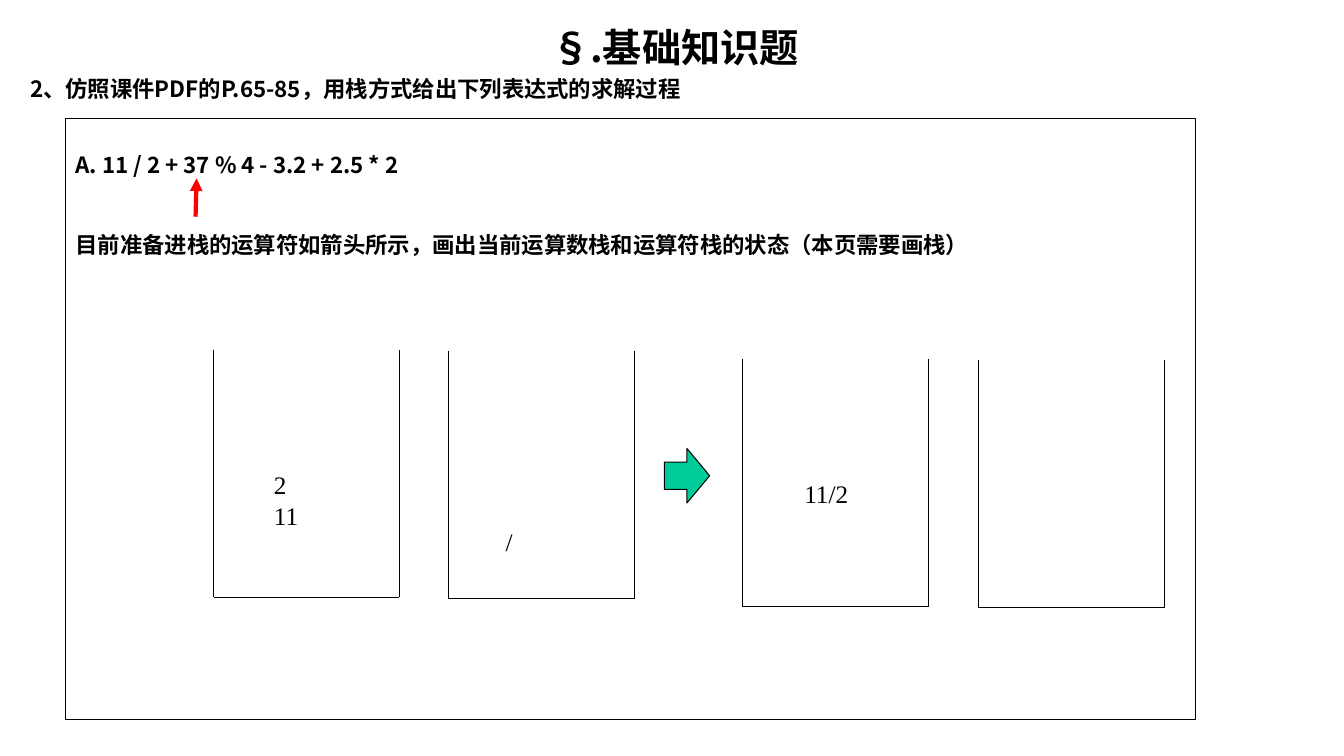
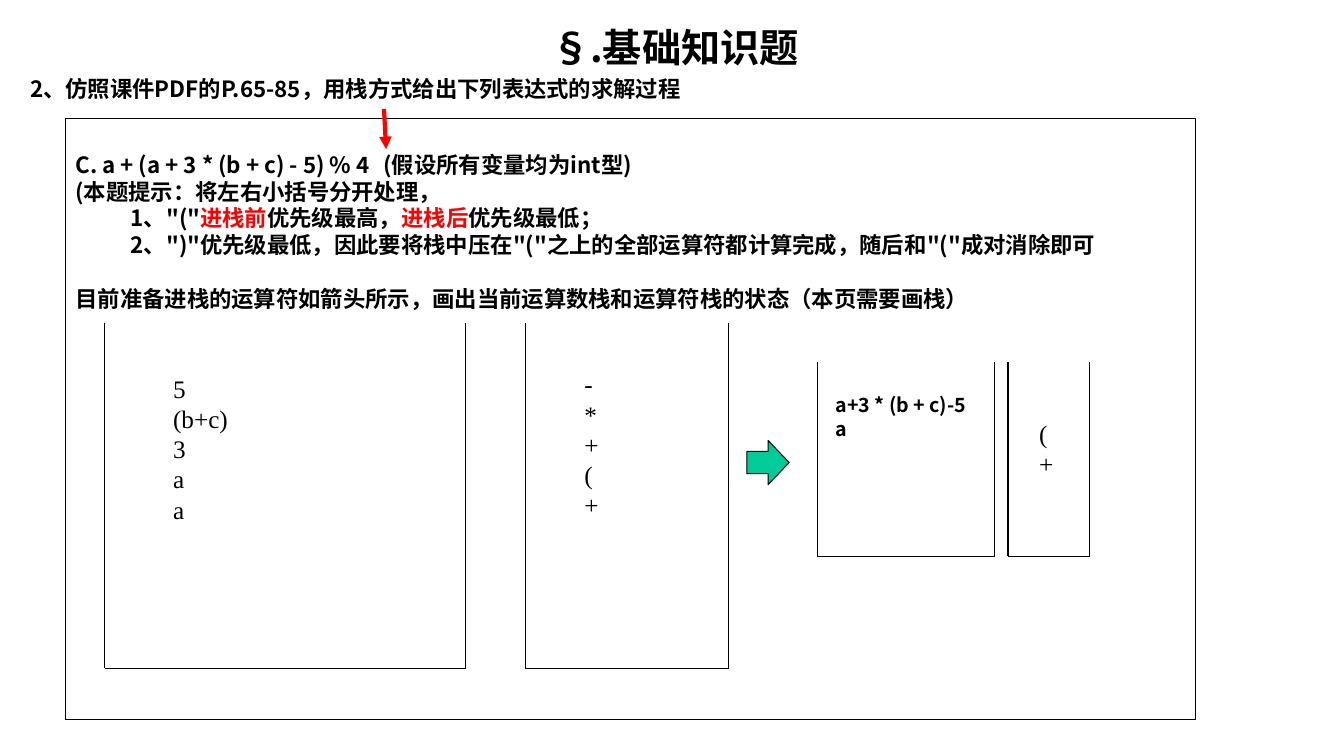
import pptx
import pptx.util
import pptx.dml.color
import pptx.enum.shapes
import pptx.enum.text
import pptx.oxml
import pptx.oxml.ns

Pt = pptx.util.Pt
qn = pptx.oxml.ns.qn
SHAPE = pptx.enum.shapes.MSO_SHAPE
ALIGN = pptx.enum.text.PP_ALIGN
ANCHOR = pptx.enum.text.MSO_ANCHOR

SANS, SERIF = "Noto Sans CJK SC", "Times New Roman"
BLACK, RED, GREEN = "000000", "FF0000", "00CC99"
LEAD = 1.2
ROW = 16 * LEAD
TASK = "目前准备进栈的运算符如箭头所示，画出当前运算数栈和运算符栈的状态（本页需要画栈）"


def color(code):
    return pptx.dml.color.RGBColor.from_string(code)


def sub(parent, tag, **attrs):
    """Append an empty XML child with the given attributes."""
    child = pptx.oxml.parse_xml(f"<{tag} {pptx.oxml.ns.nsdecls('a')}/>")
    for key, value in attrs.items():
        child.set(key, str(value))
    parent.append(child)
    return child


def write(frame, rows, size, face=SANS, bold=True):
    """Fill a frame; a row is a text or a list of (text, colour) runs."""
    for index, row in enumerate(rows):
        para = frame.paragraphs[0] if index == 0 else frame.add_paragraph()
        para.alignment = ALIGN.LEFT
        para.line_spacing = Pt(size * LEAD)
        for text, code in [(row, BLACK)] if isinstance(row, str) else row:
            run = para.add_run()
            run.text = text
            font = run.font
            font.size, font.bold, font.name = Pt(size), bold, face
            font.color.rgb = color(code)
            sub(run._r.get_or_add_rPr(), "a:ea", typeface=face)


def label(slide, x, y, w, rows, size=18, face=SERIF, bold=False):
    box = slide.shapes.add_textbox(Pt(x), Pt(y), Pt(w), Pt(len(rows) * size * LEAD + 7.2))
    box.text_frame.word_wrap = True
    write(box.text_frame, rows, size, face, bold)
    return box.text_frame


def line(slide, start, end, code=BLACK, width=0.75, head=False):
    link = slide.shapes.add_connector(
        pptx.enum.shapes.MSO_CONNECTOR.STRAIGHT, *map(Pt, start + end))
    link.line.color.rgb = color(code)
    link.line.width = Pt(width)
    props = link._element.spPr
    if head:
        sub(props.find(qn("a:ln")), "a:tailEnd", type="triangle")
    sub(props, "a:effectLst")


def stack(slide, x, y, w, h):
    """Draw a container that is open at the top."""
    points = [(x, y), (x, y + h), (x + w, y + h), (x + w, y)]
    for start, end in zip(points, points[1:]):
        line(slide, start, end)


def shape(slide, kind, x, y, w, h, fill=None):
    item = slide.shapes.add_shape(kind, Pt(x), Pt(y), Pt(w), Pt(h))
    item.shadow.inherit = False
    item.line.color.rgb = color(BLACK)
    item.line.width = Pt(0.75)
    if fill:
        item.fill.solid()
        item.fill.fore_color.rgb = color(fill)
    else:
        item.fill.background()
    return item


def page(deck, rows):
    """Add a slide with heading, question and framed task text."""
    slide = deck.slides.add_slide(deck.slide_layouts[6])
    head = label(slide, 14.4, 13, 935.3, ["§.基础知识题"], 28, SANS, True)
    head.paragraphs[0].alignment = ALIGN.CENTER
    label(slide, 14.4, 49.8, 935.3,
          ["2、仿照课件PDF的P.65-85，用栈方式给出下列表达式的求解过程"], 16, SANS, True)
    frame = shape(slide, SHAPE.RECTANGLE, 46.8, 85, 807.1, 429.1).text_frame
    frame.word_wrap = True
    frame.vertical_anchor = ANCHOR.TOP
    frame.margin_top = Pt(3.6 + ROW)
    write(frame, rows, 16)
    return slide, frame.paragraphs


def divide(deck):
    slide, paras = page(deck, ["A. 11 / 2 + 37 % 4 - 3.2 + 2.5 * 2", TASK])
    paras[1].space_before = Pt(2 * ROW)
    line(slide, (139.7, 154.8), (140.4, 127.4), RED, 3, True)
    for x, y in [(152.6, 249.8), (320.4, 250.6), (530.6, 256.3), (699.1, 257)]:
        stack(slide, x, y, 132.5, 177)
    label(slide, 188.6, 331.9, 46.8, ["2", "11"])
    label(slide, 354.2, 372.2, 50.4, ["/"])
    label(slide, 567.4, 338.4, 46.8, ["11/2"])
    shape(slide, SHAPE.RIGHT_ARROW, 474.5, 320.4, 32.4, 38.9, GREEN)


def nest(deck):
    slide, paras = page(deck, [
        "C. a + (a + 3 * (b + c) - 5) % 4\t(假设所有变量均为int型)",
        "(本题提示：将左右小括号分开处理，",
        [('1、"("', BLACK), ("进栈前", RED), ("优先级最高，", BLACK),
         ("进栈后", RED), ("优先级最低；", BLACK)],
        '2、")"优先级最低，因此要将栈中压在"("之上的全部运算符都计算完成，随后和"("成对消除即可',
        TASK])
    tabs = sub(paras[0]._p.get_or_add_pPr(), "a:tabLst")
    sub(tabs, "a:tab", pos=Pt(220), algn="l")
    for para in paras[2:4]:
        para._p.get_or_add_pPr().set("marL", str(Pt(39.5)))
    paras[4].space_before = Pt(ROW)
    line(slide, (274.3, 77.8), (275.8, 106.6), RED, 3, True)
    for x, w in [(74.9, 257.8), (375.1, 145.4)]:
        stack(slide, x, 230.4, w, 247)
    for x, w in [(583.9, 126.7), (720, 58.3)]:
        stack(slide, x, 258.5, w, 138.9)
    label(slide, 116.6, 262.8, 158.4, ["5", "(b+c)", "3", "a", "a"])
    label(slide, 410.4, 259.9, 60.5, ["-", "*", "+", "(", "+"])
    label(slide, 589.7, 277.2, 140.4, ["a+3 * (b + c)-5", "a"], 14, SANS, True)
    label(slide, 735.1, 295.2, 38.9, ["(", "+"])
    shape(slide, SHAPE.RIGHT_ARROW, 533.5, 314.6, 30.2, 31.7, GREEN)


def main():
    deck = pptx.Presentation()
    deck.slide_width, deck.slide_height = Pt(960), Pt(540)
    divide(deck)
    nest(deck)
    deck.save("out.pptx")


if __name__ == "__main__":
    main()
